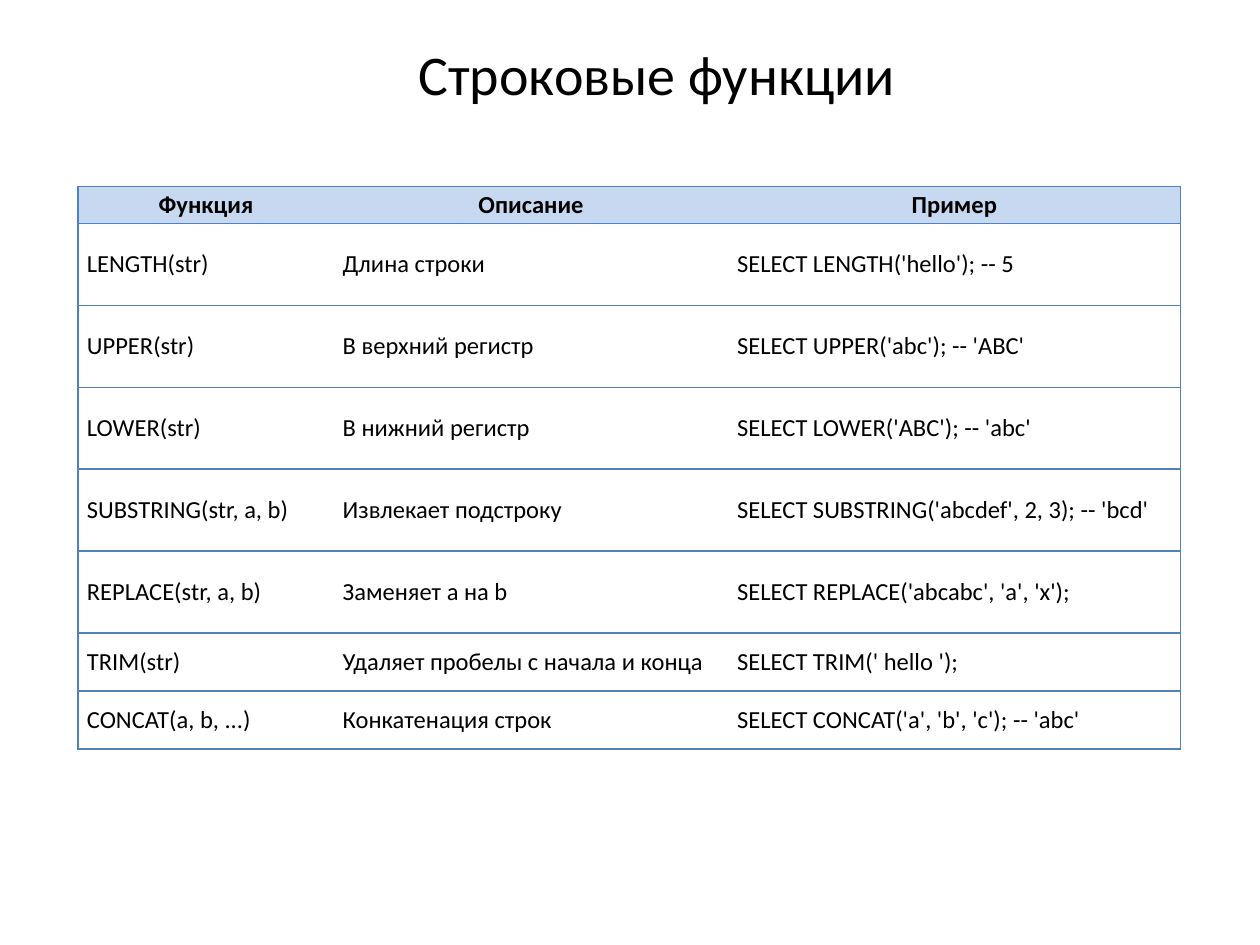
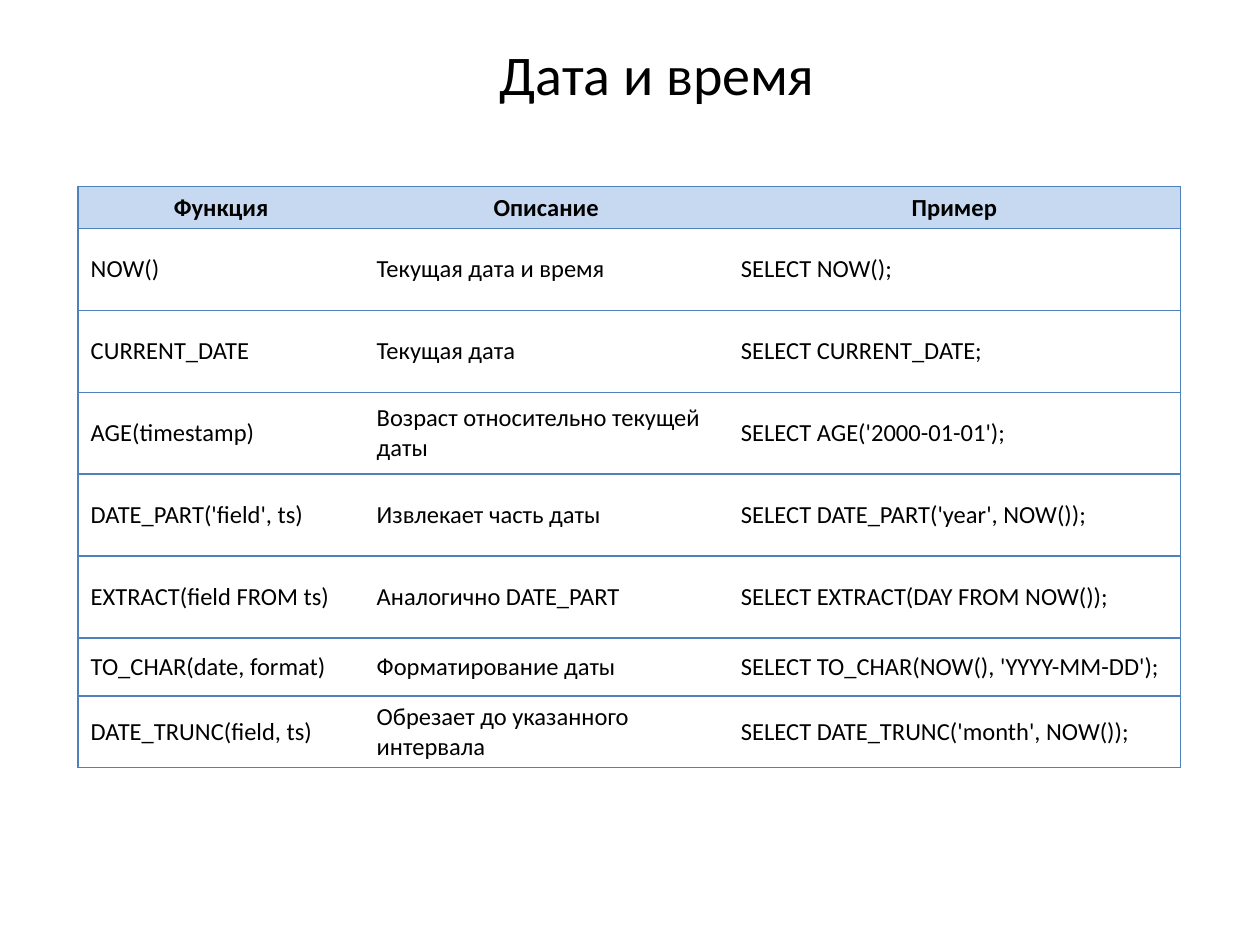
"""Builds two slides with reference tables of SQL string and date functions."""
import lxml.etree
import pptx
import pptx.dml.color
import pptx.enum.text
import pptx.oxml.ns
import pptx.util

Inches = pptx.util.Inches
Pt = pptx.util.Pt
ALIGN = pptx.enum.text.PP_ALIGN
MIDDLE = pptx.enum.text.MSO_ANCHOR.MIDDLE

HEADER = ("Функция", "Описание", "Пример")
SLIDES = [
    {
        "title": "Строковые функции",
        "columns": (2.03, 3.13, 3.59),
        "margins": (0.07, 0.03),
        "rows": [
            ("LENGTH(str)", "Длина строки", "SELECT LENGTH('hello'); -- 5"),
            ("UPPER(str)", "В верхний регистр", "SELECT UPPER('abc'); -- 'ABC'"),
            ("LOWER(str)", "В нижний регистр", "SELECT LOWER('ABC'); -- 'abc'"),
            ("SUBSTRING(str, a, b)", "Извлекает подстроку", "SELECT SUBSTRING('abcdef', 2, 3); -- 'bcd'"),
            ("REPLACE(str, a, b)", "Заменяет a на b", "SELECT REPLACE('abcabc', 'a', 'x');"),
            ("TRIM(str)", "Удаляет пробелы с начала и конца", "SELECT TRIM(' hello ');"),
            ("CONCAT(a, b, ...)", "Конкатенация строк", "SELECT CONCAT('a', 'b', 'c'); -- 'abc'"),
        ],
    },
    {
        "title": "Дата и время",
        "columns": (2.27, 2.89, 3.59),
        "margins": (0.1, 0.05),
        "rows": [
            ("NOW()", "Текущая дата и время", "SELECT NOW();"),
            ("CURRENT_DATE", "Текущая дата", "SELECT CURRENT_DATE;"),
            ("AGE(timestamp)", "Возраст относительно текущей даты", "SELECT AGE('2000-01-01');"),
            ("DATE_PART('field', ts)", "Извлекает часть даты", "SELECT DATE_PART('year', NOW());"),
            ("EXTRACT(field FROM ts)", "Аналогично DATE_PART", "SELECT EXTRACT(DAY FROM NOW());"),
            ("TO_CHAR(date, format)", "Форматирование даты", "SELECT TO_CHAR(NOW(), 'YYYY-MM-DD');"),
            ("DATE_TRUNC(field, ts)", "Обрезает до указанного интервала", "SELECT DATE_TRUNC('month', NOW());"),
        ],
    },
]
COLORS = {"text": "000000", "header": "C6D9F1", "body": "FFFFFF", "border": "4F81BD"}
ROW_HEIGHTS = [0.27] + [0.65] * 5 + [0.46] * 2
TABLE_LEFT, TABLE_TOP = 0.62, 1.48
TITLE_BOX = (0.5, 0.3, 9, 0.55)
TITLE_INDENT = 0.43
TITLE_FONT = {"name": "Calibri", "size": Pt(32), "bold": False}
HEADER_FONT = {"name": "Calibri", "size": Pt(14), "bold": True}
BODY_FONT = {**HEADER_FONT, "bold": False}


def rgb(name):
    return pptx.dml.color.RGBColor.from_string(COLORS[name])


def set_attributes(target, values):
    for name, value in values.items():
        setattr(target, name, value)


def write(paragraph, text, font, alignment):
    paragraph.alignment = alignment
    run = paragraph.add_run()
    run.text = text
    set_attributes(run.font, font)
    run.font.color.rgb = rgb("text")


def add_title(slide, text):
    frame = slide.shapes.add_textbox(*map(Inches, TITLE_BOX)).text_frame
    set_attributes(frame, {
        "word_wrap": True, "vertical_anchor": MIDDLE,
        "margin_left": 0, "margin_right": 0,
        "margin_top": Inches(0.01), "margin_bottom": 0,
    })
    paragraph = frame.paragraphs[0]
    write(paragraph, text, TITLE_FONT, ALIGN.CENTER)
    paragraph.space_before = Pt(1)
    properties = paragraph._p.get_or_add_pPr()
    properties.set("marL", str(Inches(TITLE_INDENT)))
    properties.set("indent", "0")


def set_borders(cell, visible_sides):
    qn = pptx.oxml.ns.qn
    properties = cell._tc.get_or_add_tcPr()
    for side in "LRTB":
        line = lxml.etree.SubElement(properties, qn(f"a:ln{side}"), w=str(Pt(1)))
        if side in visible_sides:
            fill = lxml.etree.SubElement(line, qn("a:solidFill"))
            lxml.etree.SubElement(fill, qn("a:srgbClr"), val=COLORS["border"])
        else:
            lxml.etree.SubElement(line, qn("a:noFill"))


def add_function_table(slide, columns, margins, rows):
    contents = [HEADER] + rows
    table = slide.shapes.add_table(
        len(contents), len(columns), Inches(TABLE_LEFT), Inches(TABLE_TOP),
        Inches(sum(columns)), Inches(sum(ROW_HEIGHTS))).table
    set_attributes(table, {"first_row": False, "horz_banding": False})
    for column, width in zip(table.columns, columns):
        column.width = Inches(width)
    for row, height in zip(table.rows, ROW_HEIGHTS):
        row.height = Inches(height)
    side_margin, end_margin = map(Inches, margins)
    outer_sides = {0: "L", len(columns) - 1: "R"}
    for row_index, texts in enumerate(contents):
        is_header = row_index == 0
        for column_index, text in enumerate(texts):
            cell = table.cell(row_index, column_index)
            set_borders(cell, "TB" + outer_sides.get(column_index, ""))
            cell.fill.solid()
            cell.fill.fore_color.rgb = rgb("header" if is_header else "body")
            set_attributes(cell, {
                "vertical_anchor": MIDDLE,
                "margin_left": side_margin, "margin_right": side_margin,
                "margin_top": end_margin, "margin_bottom": end_margin,
            })
            write(cell.text_frame.paragraphs[0], text,
                  HEADER_FONT if is_header else BODY_FONT,
                  ALIGN.CENTER if is_header else ALIGN.LEFT)


def main():
    presentation = pptx.Presentation()
    presentation.slide_width, presentation.slide_height = Inches(10), Inches(7.5)
    for content in SLIDES:
        slide = presentation.slides.add_slide(presentation.slide_layouts[6])
        add_title(slide, content["title"])
        add_function_table(slide, content["columns"], content["margins"], content["rows"])
    presentation.save("out.pptx")


if __name__ == "__main__":
    main()
